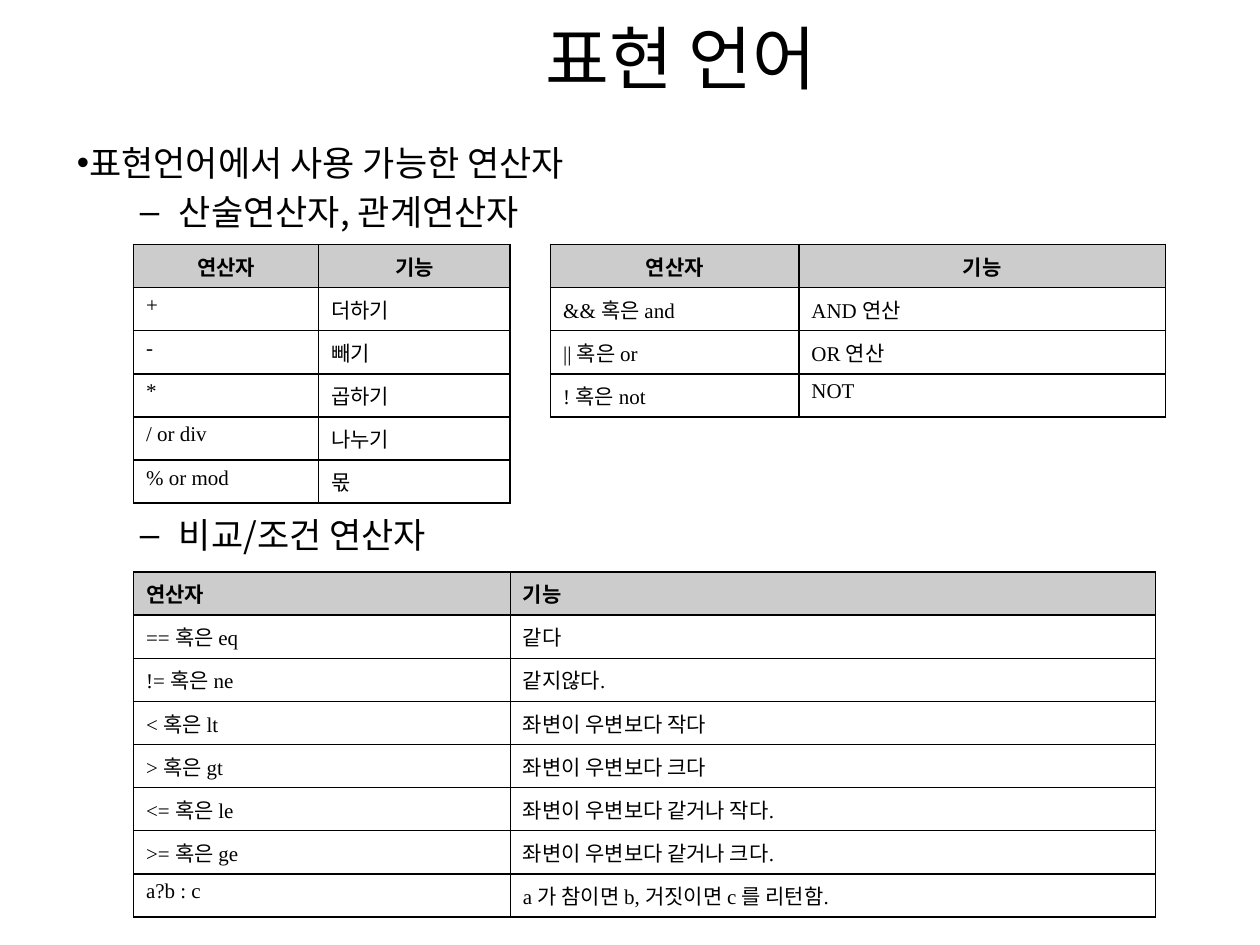
from lxml import etree
from pptx import Presentation
from pptx.dml.color import RGBColor
from pptx.enum.text import MSO_ANCHOR, MSO_AUTO_SIZE, PP_ALIGN
from pptx.oxml.ns import qn
from pptx.util import Inches, Pt

CENTER, LEFT = PP_ALIGN.CENTER, PP_ALIGN.LEFT
MIDDLE, TOP = MSO_ANCHOR.MIDDLE, MSO_ANCHOR.TOP
NO_FIT = MSO_AUTO_SIZE.NONE
BLACK = RGBColor(0x00, 0x00, 0x00)
WHITE = RGBColor(0xFF, 0xFF, 0xFF)
GRAY = RGBColor(0xCC, 0xCC, 0xCC)
SANS, SERIF = "Noto Sans CJK KR", "Times New Roman"
ROW = 0.34
HEAD = ("연산자", "기능")

# Outline: text, level, space before in points
LINES = [
    ("표현언어에서 사용 가능한 연산자", 0, 0),
    ("산술연산자, 관계연산자", 1, 4),
    ("비교/조건 연산자", 1, 161),
]
MATH = [
    HEAD,
    ("+", "더하기"),
    ("-", "빼기"),
    ("*", "곱하기"),
    ("/ or div", "나누기"),
    ("% or mod", "몫"),
]
COMPARE = [
    HEAD,
    ("== 혹은 eq", "같다"),
    ("!= 혹은 ne", "같지않다."),
    ("< 혹은 lt", "좌변이 우변보다 작다"),
    ("> 혹은 gt", "좌변이 우변보다 크다"),
    ("<= 혹은 le", "좌변이 우변보다 같거나 작다."),
    (">= 혹은 ge", "좌변이 우변보다 같거나 크다."),
    ("a?b : c", "a 가 참이면 b, 거짓이면 c 를 리턴함."),
]
LOGIC = [
    HEAD,
    ("&& 혹은 and", "AND 연산"),
    ("|| 혹은 or", "OR 연산"),
    ("! 혹은 not", "NOT"),
]


def place(shape, left, top, width, height):
    shape.left, shape.top = Inches(left), Inches(top)
    shape.width, shape.height = Inches(width), Inches(height)


def style(para, size, face, bold=False):
    for run in para.runs:
        font = run.font
        font.size, font.bold, font.name = Pt(size), bold, face
        font.color.rgb = BLACK
        # Korean letters use the sans face in every text
        etree.SubElement(font._element, qn("a:ea"), typeface=SANS)


def set_bullet(para, char, left, hang):
    props = para._p.get_or_add_pPr()
    props.set("marL", str(Inches(left)))
    props.set("indent", str(-Inches(hang)))
    etree.SubElement(props, qn("a:buChar"), char=char)


def add_title(slide):
    title = slide.shapes.title
    place(title, 2.16, 0.11, 6.49, 0.68)
    frame = title.text_frame
    frame.text = "표현 언어"
    frame.auto_size, frame.vertical_anchor = NO_FIT, MIDDLE
    para = frame.paragraphs[0]
    para.alignment = CENTER
    style(para, 39.6, SANS)


def add_list(slide):
    body = slide.placeholders[1]
    place(body, 0.51, 1.07, 9, 6.06)
    frame = body.text_frame
    frame.text = "\n".join(text for text, _, _ in LINES)
    frame.auto_size, frame.vertical_anchor = NO_FIT, TOP
    for para, (_, level, gap) in zip(frame.paragraphs, LINES):
        para.level = level
        if level:
            set_bullet(para, "–", 0.81, 0.31)
        else:
            set_bullet(para, "•", 0, 0)
        para.line_spacing = 1.0
        para.space_before = Pt(gap)
        style(para, 20, SANS)


def add_border(cell):
    props = cell._tc.get_or_add_tcPr()
    for i, side in enumerate(("lnL", "lnR", "lnT", "lnB")):
        line = etree.Element(qn("a:" + side), w=str(Pt(1)))
        fill = etree.SubElement(line, qn("a:solidFill"))
        etree.SubElement(fill, qn("a:srgbClr"), val=str(BLACK))
        props.insert(i, line)


def add_grid(slide, left, top, widths, rows, align):
    frame = slide.shapes.add_table(
        len(rows), len(widths), Inches(left), Inches(top),
        Inches(sum(widths)), Inches(ROW * len(rows)))
    table = frame.table
    table.first_row = table.horz_banding = False
    for col, width in zip(table.columns, widths):
        col.width = Inches(width)
    for r, row in enumerate(rows):
        table.rows[r].height = Inches(ROW)
        for c, text in enumerate(row):
            cell = table.cell(r, c)
            cell.fill.solid()
            cell.fill.fore_color.rgb = WHITE if r else GRAY
            add_border(cell)
            cell.text_frame.text = text
            para = cell.text_frame.paragraphs[0]
            para.alignment = LEFT if r else align
            style(para, 12, SERIF, bold=r == 0)


def main():
    deck = Presentation()
    deck.slide_width, deck.slide_height = Inches(10), Inches(7.5)
    slide = deck.slides.add_slide(deck.slide_layouts[1])
    add_list(slide)
    add_title(slide)
    # Operator tables
    add_grid(slide, 1.06, 1.94, (1.47, 1.52), MATH, CENTER)
    add_grid(slide, 1.06, 4.54, (2.99, 5.12), COMPARE, LEFT)
    add_grid(slide, 4.37, 1.94, (1.97, 2.91), LOGIC, CENTER)
    deck.save("out.pptx")


if __name__ == "__main__":
    main()
